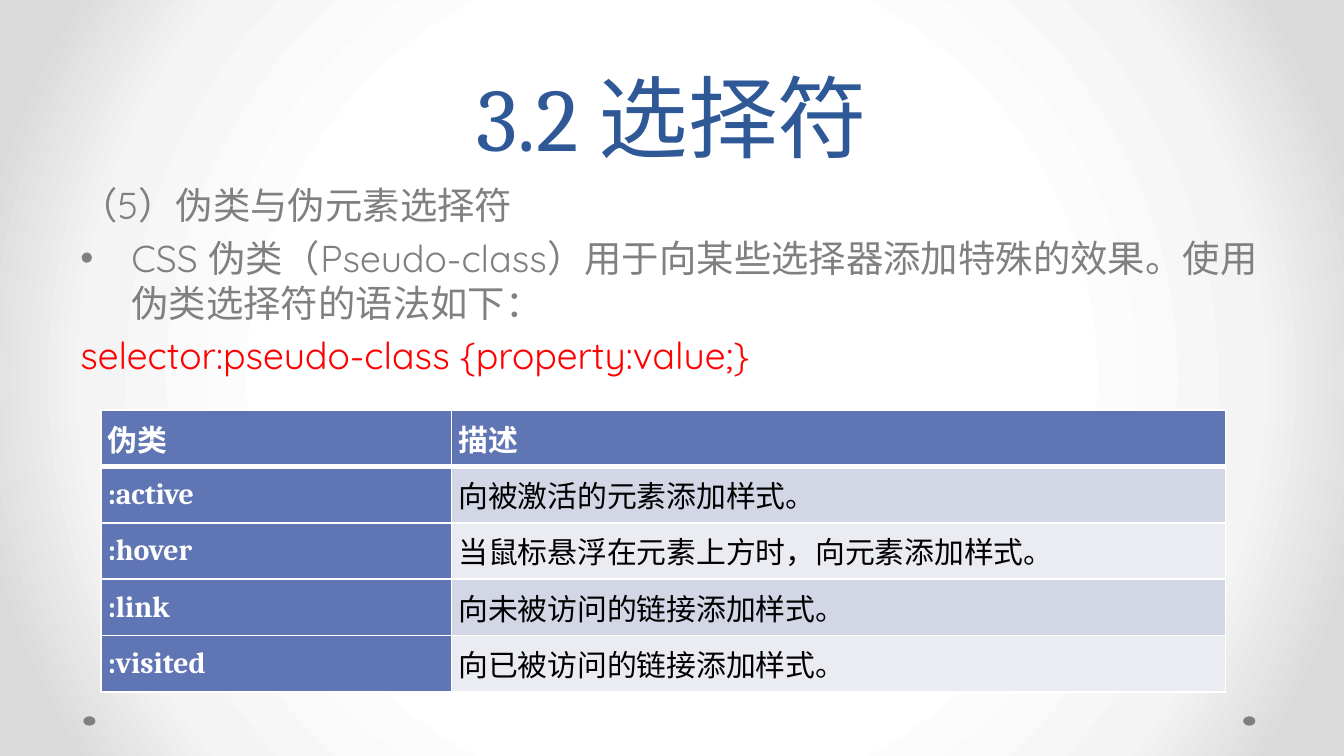
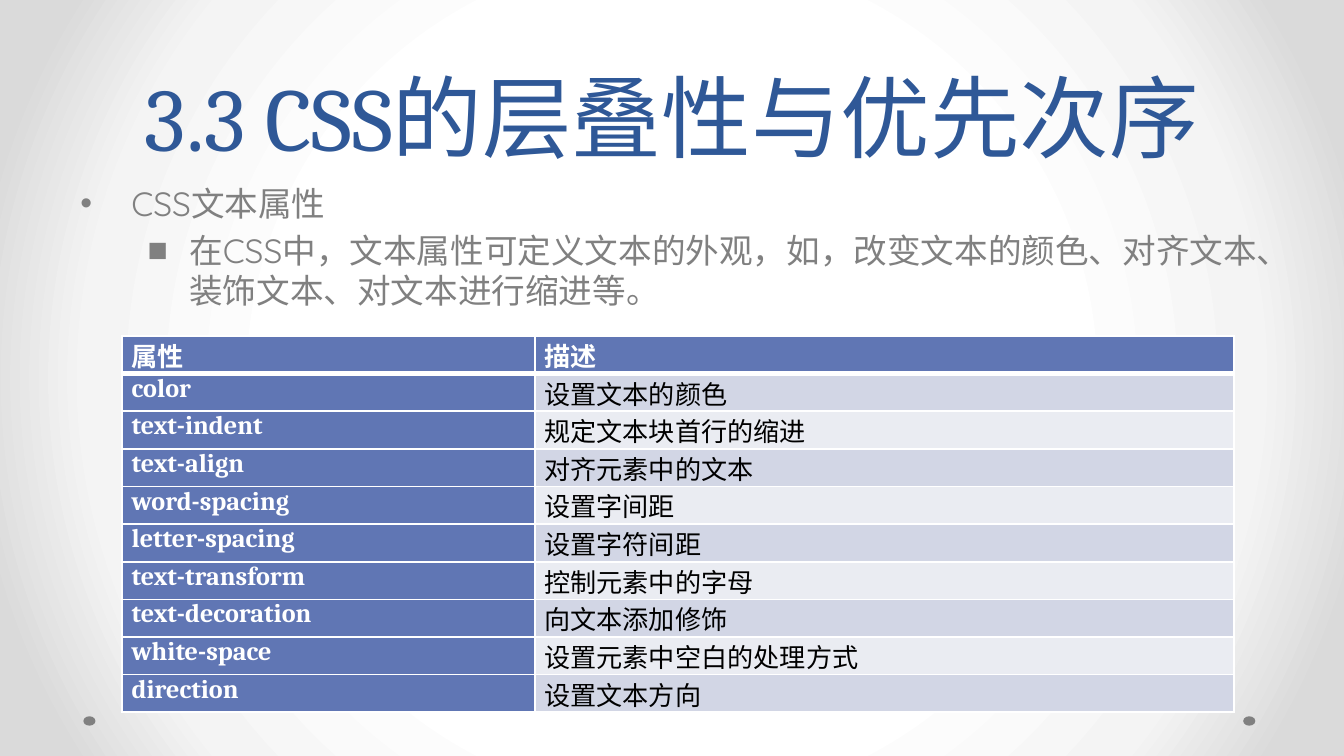
"""Build two CSS lesson slides, each with a title, body text and a reference table."""
from lxml.etree import SubElement
from pptx import Presentation
from pptx.dml.color import RGBColor
from pptx.enum.shapes import MSO_SHAPE
from pptx.enum.text import MSO_ANCHOR, PP_ALIGN
from pptx.oxml import parse_xml
from pptx.oxml.ns import nsdecls, qn
from pptx.util import Inches, Pt

COLORS = {
    "title": "2F5897", "body": "808080", "code": "FF0000", "header": "6076B4",
    "odd": "D2D6E5", "even": "EAECF2", "white": "FFFFFF", "black": "000000",
}
BACKGROUND_STOPS = [(50, "FFFFFF"), (76, "F4F4F4"), (92, "DADADA")]
TITLE_FONT, BODY_FONT = "Cambria", "Quicksand"
DOT_LEFTS = (9.25, 0.62)

PARAGRAPH_STYLES = {
    "plain": {"level": 0, "left": 0, "hang": 0, "bullet": None, "color": "body"},
    "bullet": {"level": 0, "left": 0.38, "hang": 0.38, "bullet": "•", "color": "body"},
    "square": {"level": 1, "left": 0.81, "hang": 0.31, "bullet": "■", "color": "body"},
    "code": {"level": 0, "left": 0, "hang": 0, "bullet": None, "color": "code"},
}

SLIDES = [
    {
        "title": "3.2 选择符",
        "body_size": 20,
        "body_height": 1.5,
        "body": [
            ("plain", "（5）伪类与伪元素选择符"),
            ("bullet", "CSS 伪类（Pseudo-class）用于向某些选择器添加特殊的效果。使用伪类选择符的语法如下："),
            ("code", "selector:pseudo-class {property:value;}"),
        ],
        "table": {
            "left": 0.75, "top": 3.05, "columns": (2.61, 5.76), "row_height": 0.42,
            "size": 16, "anchor": MSO_ANCHOR.MIDDLE, "margins": (0.05, 0.05, 0.16, 0.05),
            "rows": [
                ("伪类", "描述"),
                (":active", "向被激活的元素添加样式。"),
                (":hover", "当鼠标悬浮在元素上方时，向元素添加样式。"),
                (":link", "向未被访问的链接添加样式。"),
                (":visited", "向已被访问的链接添加样式。"),
            ],
        },
    },
    {
        "title": "3.3 CSS的层叠性与优先次序",
        "body_size": 18,
        "body_height": 1.19,
        "body": [
            ("bullet", "CSS文本属性"),
            ("square", "在CSS中，文本属性可定义文本的外观，如，改变文本的颜色、对齐文本、装饰文本、对文本进行缩进等。"),
        ],
        "table": {
            "left": 0.91, "top": 2.5, "columns": (3.07, 5.2), "row_height": 0.28,
            "size": 14, "anchor": MSO_ANCHOR.TOP, "margins": (0.07, 0, 0.07, 0),
            "rows": [
                ("属性", "描述"),
                ("color", "设置文本的颜色"),
                ("text-indent", "规定文本块首行的缩进"),
                ("text-align", "对齐元素中的文本"),
                ("word-spacing", "设置字间距"),
                ("letter-spacing", "设置字符间距"),
                ("text-transform", "控制元素中的字母"),
                ("text-decoration", "向文本添加修饰"),
                ("white-space", "设置元素中空白的处理方式"),
                ("direction", "设置文本方向"),
            ],
        },
    },
]


def color(name):
    return RGBColor.from_string(COLORS[name])


def add_run(paragraph, text, font, size, color_name, bold=False):
    run = paragraph.add_run()
    run.text = text
    run.font.name = font
    run.font.size = Pt(size)
    run.font.bold = bold
    run.font.color.rgb = color(color_name)


def add_text_box(slide, top, height, anchor):
    box = slide.shapes.add_textbox(Inches(0.5), Inches(top), Inches(9), Inches(height))
    frame = box.text_frame
    frame.word_wrap = True
    frame.vertical_anchor = anchor
    return frame


def set_background(slide):
    slide.background.fill.solid()
    properties = slide.background._cSld.find(qn("p:bg")).find(qn("p:bgPr"))
    stops = "".join(
        f'<a:gs pos="{position * 1000}"><a:srgbClr val="{value}"/></a:gs>'
        for position, value in BACKGROUND_STOPS
    )
    gradient = parse_xml(
        f'<a:gradFill {nsdecls("a")} rotWithShape="1"><a:gsLst>{stops}</a:gsLst>'
        '<a:path path="circle"><a:fillToRect l="50000" t="50000" r="50000" b="50000"/>'
        "</a:path></a:gradFill>"
    )
    properties.replace(properties.find(qn("a:solidFill")), gradient)


def add_dots(slide):
    for left in DOT_LEFTS:
        dot = slide.shapes.add_shape(
            MSO_SHAPE.OVAL, Inches(left), Inches(5.33), Inches(0.09), Inches(0.07)
        )
        dot.shadow.inherit = False
        dot.fill.solid()
        dot.fill.fore_color.rgb = color("body")
        dot.line.fill.background()


def add_title(slide, text):
    paragraph = add_text_box(slide, 0, 1.31, MSO_ANCHOR.BOTTOM).paragraphs[0]
    paragraph.alignment = PP_ALIGN.CENTER
    paragraph.line_spacing = Pt(58)
    add_run(paragraph, text, TITLE_FONT, 48, "title")


def format_paragraph(paragraph, style):
    paragraph.level = style["level"]
    properties = paragraph._p.get_or_add_pPr()
    properties.set("marL", str(Inches(style["left"])))
    properties.set("indent", str(-Inches(style["hang"])))
    spacing = SubElement(properties, qn("a:spcBef"))
    SubElement(spacing, qn("a:spcPct")).set("val", "20000")
    if style["bullet"]:
        SubElement(properties, qn("a:buFont")).set("typeface", "Arial")
        SubElement(properties, qn("a:buChar")).set("char", style["bullet"])
    else:
        SubElement(properties, qn("a:buNone"))


def add_body(slide, paragraphs, size, height):
    frame = add_text_box(slide, 1.31, height, MSO_ANCHOR.TOP)
    for index, (style_name, text) in enumerate(paragraphs):
        paragraph = frame.add_paragraph() if index else frame.paragraphs[0]
        style = PARAGRAPH_STYLES[style_name]
        format_paragraph(paragraph, style)
        add_run(paragraph, text, BODY_FONT, size, style["color"])


def set_borders(cell, row_index):
    properties = cell._tc.get_or_add_tcPr()
    widths = {
        "lnL": 1, "lnR": 1,
        "lnT": 3 if row_index == 1 else 1,
        "lnB": 3 if row_index == 0 else 1,
    }
    for tag, width in widths.items():
        line = SubElement(properties, qn(f"a:{tag}"))
        line.set("w", str(Pt(width)))
        fill = SubElement(line, qn("a:solidFill"))
        SubElement(fill, qn("a:srgbClr")).set("val", COLORS["white"])


def fill_cell(cell, text, row_index, column_index, layout):
    heading = row_index == 0 or column_index == 0
    band = "odd" if row_index % 2 else "even"
    margins = [Inches(margin) for margin in layout["margins"]]
    cell.margin_left, cell.margin_top, cell.margin_right, cell.margin_bottom = margins
    cell.vertical_anchor = layout["anchor"]
    set_borders(cell, row_index)
    cell.fill.solid()
    cell.fill.fore_color.rgb = color("header" if heading else band)
    text_color = "white" if heading else "black"
    add_run(cell.text_frame.paragraphs[0], text, TITLE_FONT, layout["size"], text_color, heading)


def add_reference_table(slide, layout):
    rows, columns = layout["rows"], layout["columns"]
    table = slide.shapes.add_table(
        len(rows), len(columns), Inches(layout["left"]), Inches(layout["top"]),
        Inches(sum(columns)), Inches(layout["row_height"] * len(rows)),
    ).table
    for column, width in zip(table.columns, columns):
        column.width = Inches(width)
    for row_index, texts in enumerate(rows):
        table.rows[row_index].height = Inches(layout["row_height"])
        for column_index, text in enumerate(texts):
            fill_cell(table.cell(row_index, column_index), text, row_index, column_index, layout)


def main():
    presentation = Presentation()
    presentation.slide_width = Inches(10)
    presentation.slide_height = Inches(10) * 9 // 16
    for content in SLIDES:
        slide = presentation.slides.add_slide(presentation.slide_layouts[6])
        set_background(slide)
        add_dots(slide)
        add_title(slide, content["title"])
        add_body(slide, content["body"], content["body_size"], content["body_height"])
        add_reference_table(slide, content["table"])
    presentation.save("out.pptx")


if __name__ == "__main__":
    main()
